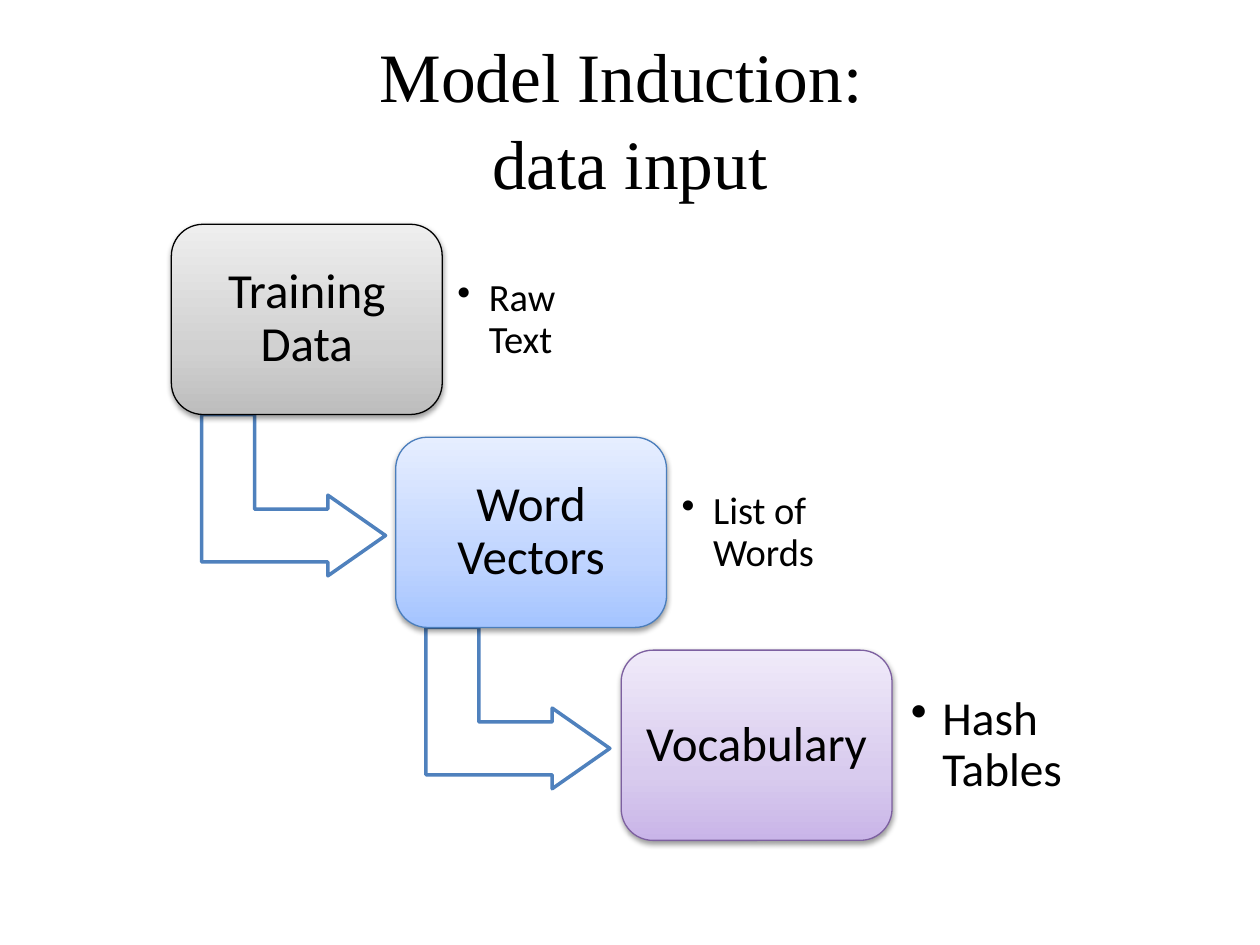
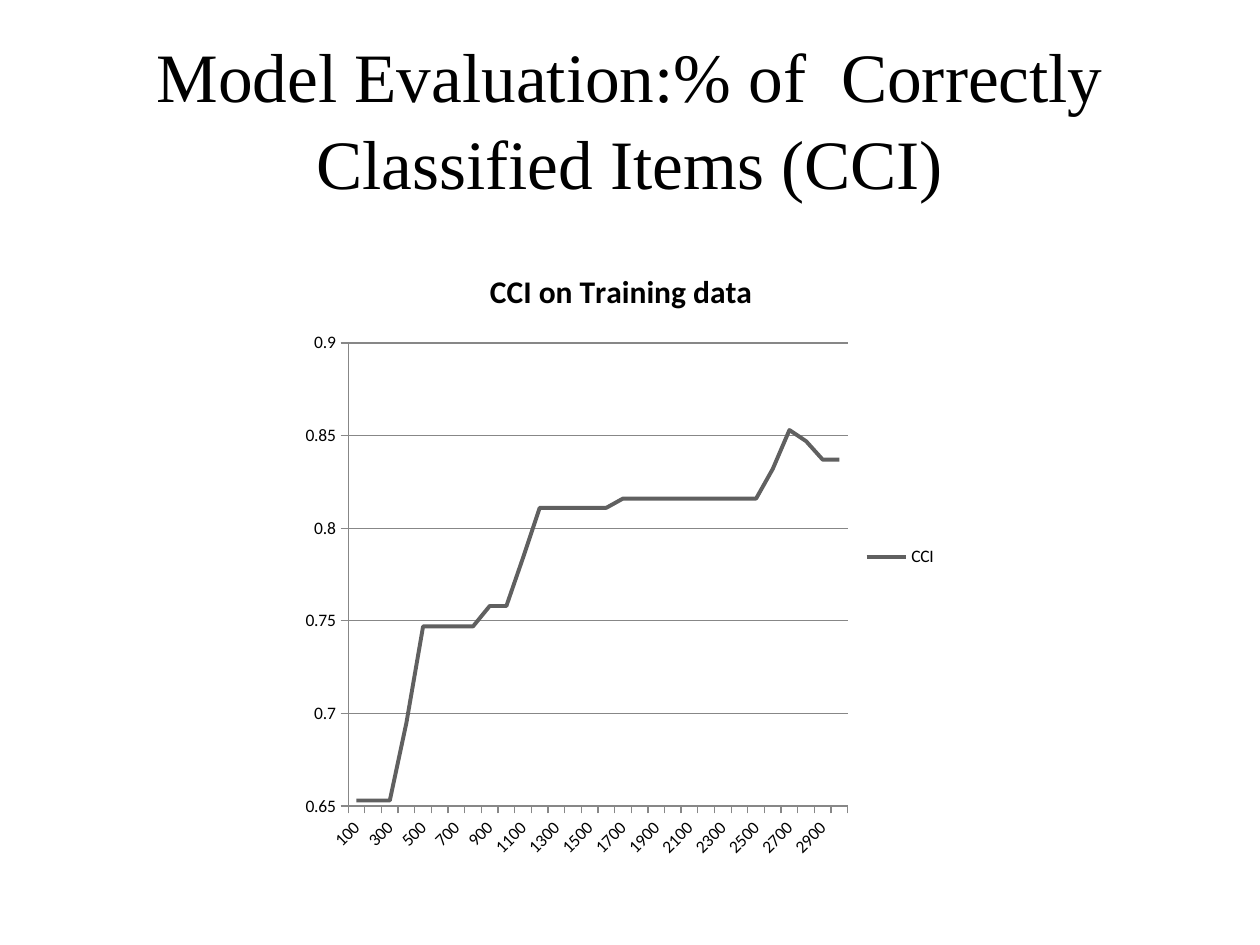
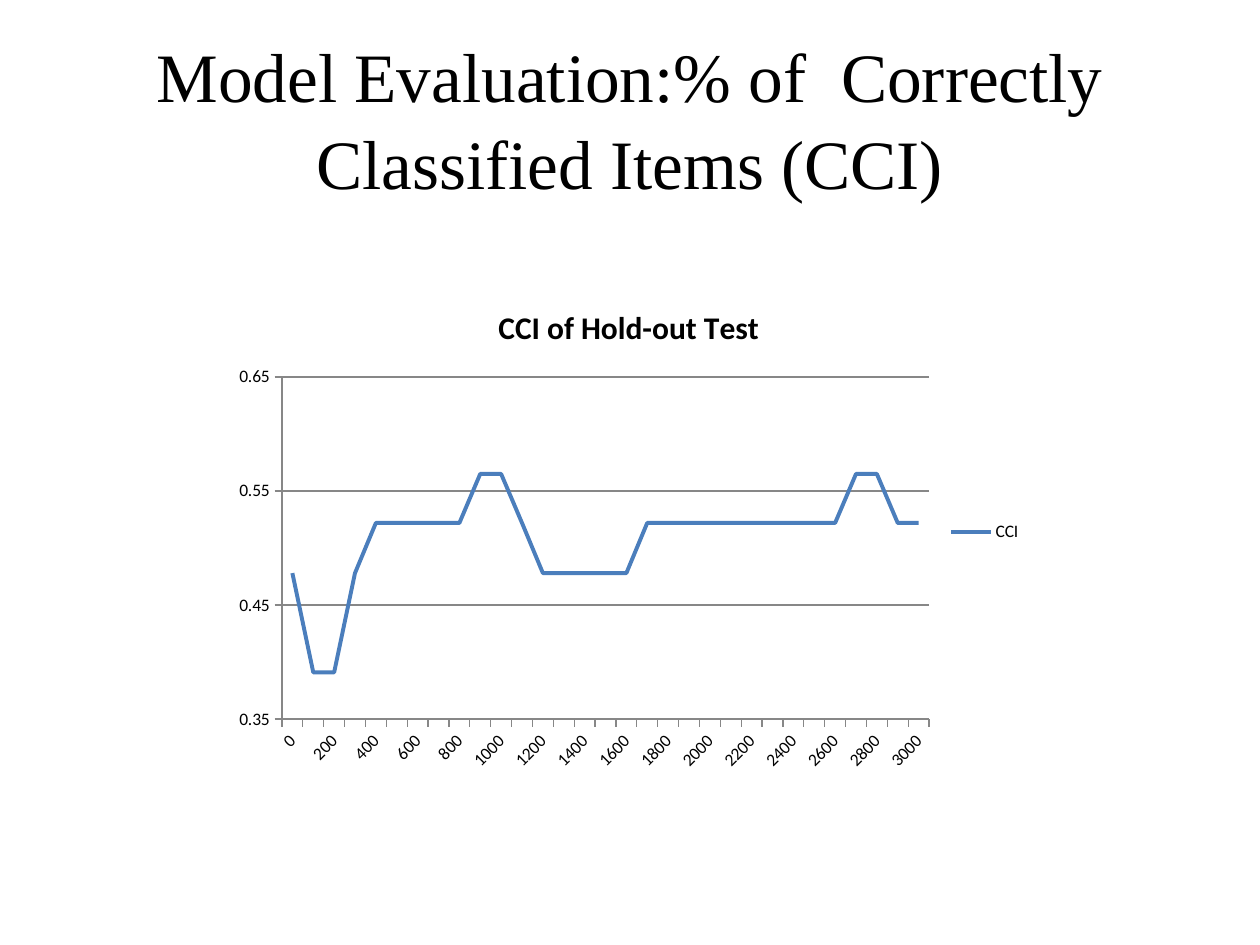
from copy import deepcopy

from lxml import etree
from pptx import Presentation
from pptx.chart.data import CategoryChartData
from pptx.dml.color import RGBColor
from pptx.enum.chart import XL_CHART_TYPE as CHART, XL_LEGEND_POSITION as LEGEND, XL_TICK_MARK as TICK
from pptx.enum.shapes import MSO_SHAPE as SHAPE
from pptx.enum.text import MSO_ANCHOR as ANCHOR, PP_ALIGN as ALIGN
from pptx.oxml.ns import qn
from pptx.util import Pt

PX = 9144  # 100 px to the inch
BLACK = RGBColor(0x00, 0x00, 0x00)
WHITE = RGBColor(0xFF, 0xFF, 0xFF)
BLUE = RGBColor(0x4F, 0x81, 0xBD)
BLUE_EDGE = RGBColor(0x4B, 0x7E, 0xBC)
PURPLE_EDGE = RGBColor(0x7D, 0x60, 0xA0)
AXIS_GRAY = RGBColor(0x87, 0x87, 0x87)
LINE_GRAY = RGBColor(0x60, 0x60, 0x60)
GRAYS = [RGBColor(0xBD, 0xBD, 0xBD), RGBColor(0xD1, 0xD1, 0xD1), RGBColor(0xEE, 0xEE, 0xEE)]
BLUES = [RGBColor(0xA4, 0xC4, 0xFF), RGBColor(0xBF, 0xD4, 0xFF), RGBColor(0xE6, 0xEE, 0xFF)]
PURPLES = [RGBColor(0xC9, 0xB5, 0xE8), RGBColor(0xD8, 0xCB, 0xEE), RGBColor(0xF0, 0xEA, 0xF9)]
TITLE_FONT, BODY_FONT = "Times New Roman", "Calibri"

prs = Presentation()
prs.slide_width, prs.slide_height = 1000 * PX, 750 * PX


def write(sp, text, font, size, spacing, inset_x, inset_y):
    """Fill a shape with one vertically centred paragraph."""
    tf = sp.text_frame
    tf.word_wrap = True
    tf.vertical_anchor = ANCHOR.MIDDLE
    tf.margin_left = tf.margin_right = inset_x * PX
    tf.margin_top = tf.margin_bottom = inset_y * PX
    p = tf.paragraphs[0]
    p.text = text
    p.line_spacing = spacing
    for r in p.runs:
        r.font.name, r.font.size, r.font.color.rgb = font, Pt(size), BLACK
    return p


def add_titled_slide(title):
    s = prs.slides.add_slide(prs.slide_layouts[6])
    box = s.shapes.add_textbox(50 * PX, 30 * PX, 900 * PX, 125 * PX)
    write(box, title, TITLE_FONT, 39.6, 1.04, 10, 5).alignment = ALIGN.CENTER
    return s


# Slide 1: descending steps
s = add_titled_slide("Model Induction: \vdata input")
steps = [
    ("Training Data", "Raw Text", 22, 12, GRAYS, BLACK),
    ("Word Vectors", "List of Words", 22, 12, BLUES, BLUE_EDGE),
    ("Vocabulary", "Hash Tables", 27, 15, PURPLES, PURPLE_EDGE),
]
for i, (name, detail, size, inset, tints, edge) in enumerate(steps):
    x, y = 136 + i * 357 // 2, 178 + i * 169

    # Arrow to the next step
    if i < len(steps) - 1:
        arrow = s.shapes.add_shape(SHAPE.BENT_UP_ARROW, (x + 33) * PX, (y + 142) * PX, 128 * PX, 146 * PX)
        arrow.rotation = 90
        for n, value in enumerate((0.328, 0.25, 0.358)):
            arrow.adjustments[n] = value
        arrow.shadow.inherit = False
        arrow.fill.solid()
        arrow.fill.fore_color.rgb = WHITE
        arrow.line.color.rgb, arrow.line.width = BLUE, Pt(2)

    # Step box with a three-stop gradient and a soft shadow
    sp = s.shapes.add_shape(SHAPE.ROUNDED_RECTANGLE, x * PX, y * PX, 215 * PX, 151 * PX)
    sp.line.color.rgb, sp.line.width = edge, Pt(0.75)
    sp.fill.gradient()
    sp.fill.gradient_angle = 90
    spPr = sp._element.spPr
    stops = spPr.find(qn("a:gradFill")).find(qn("a:gsLst"))
    stops.insert(1, deepcopy(stops[0]))
    for stop, position, tint in zip(sp.fill.gradient_stops, (0, 0.35, 1), tints):
        stop.position, stop.color.rgb = position, tint
    sp.shadow.inherit = False
    shadow = etree.SubElement(spPr.find(qn("a:effectLst")), qn("a:outerShdw"),
                              blurRad="40000", dist="20000", dir="5400000", rotWithShape="0")
    color = etree.SubElement(shadow, qn("a:srgbClr"), val="000000")
    etree.SubElement(color, qn("a:alpha"), val="38000")
    write(sp, name, BODY_FONT, 28, 0.9, 5, 5).alignment = ALIGN.CENTER

    # Bulleted detail beside the box
    box = s.shapes.add_textbox((x + 215) * PX, (y + 15) * PX, 157 * PX, 122 * PX)
    pPr = write(box, detail, BODY_FONT, size, 0.9, inset, inset)._p.get_or_add_pPr()
    pPr.set("marL", str(25 * PX))
    pPr.set("indent", str(-25 * PX))
    etree.SubElement(pPr, qn("a:buChar"), char="•")

# Slides 2 and 3: line charts
training = [0.653, 0.653, 0.653, 0.695, 0.747, 0.747, 0.747, 0.747, 0.758, 0.758,
            0.784, 0.811, 0.811, 0.811, 0.811, 0.811, 0.816, 0.816, 0.816, 0.816,
            0.816, 0.816, 0.816, 0.816, 0.816, 0.832, 0.853, 0.847, 0.837, 0.837]
hold_out = [0.478, 0.391, 0.391, 0.478, 0.522, 0.522, 0.522, 0.522, 0.522, 0.565, 0.565,
            0.522, 0.478, 0.478, 0.478, 0.478, 0.478, 0.522, 0.522, 0.522, 0.522,
            0.522, 0.522, 0.522, 0.522, 0.522, 0.522, 0.565, 0.565, 0.522, 0.522]
charts = [
    ("CCI on Training data", (232, 194, 522, 496), 100, training, (0.65, 0.9, 0.05), LINE_GRAY),
    ("CCI of Hold-out Test", (177, 225, 644, 394), 0, hold_out, (0.35, 0.65, 0.1), BLUE_EDGE),
]
for heading, frame, first, values, (low, high, unit), color in charts:
    s = add_titled_slide("Model Evaluation:% of  Correctly Classified Items (CCI)")
    data = CategoryChartData()
    data.categories = [str(first + 100 * n) for n in range(len(values))]
    data.add_series("CCI", values)
    chart = s.shapes.add_chart(CHART.LINE, *(v * PX for v in frame), data).chart
    chart.font.name, chart.font.size, chart.font.color.rgb = BODY_FONT, Pt(10), BLACK

    # Heading and legend
    chart.has_title = True
    p = chart.chart_title.text_frame.paragraphs[0]
    p.text = heading
    font = p.runs[0].font
    font.name, font.size, font.bold, font.color.rgb = BODY_FONT, Pt(18), True, BLACK
    chart.has_legend = True
    chart.legend.position = LEGEND.RIGHT
    chart.legend.include_in_layout = False

    # Axes
    cat_axis, val_axis = chart.category_axis, chart.value_axis
    val_axis.minimum_scale, val_axis.maximum_scale, val_axis.major_unit = low, high, unit
    val_axis.has_major_gridlines = True
    for axis in (cat_axis, val_axis):
        axis.major_tick_mark, axis.minor_tick_mark = TICK.OUTSIDE, TICK.NONE
    for part in (cat_axis, val_axis, val_axis.major_gridlines):
        part.format.line.color.rgb, part.format.line.width = AXIS_GRAY, Pt(0.75)
    cat_axis.tick_labels.font.size = Pt(10)
    cat_axis._element.find(qn("c:txPr")).find(qn("a:bodyPr")).set("rot", "-2700000")

    # Series
    chart.plots[0].vary_by_categories = False
    series = chart.plots[0].series[0]
    series.smooth = False
    series.format.line.color.rgb, series.format.line.width = color, Pt(2.25)

prs.save("out.pptx")
